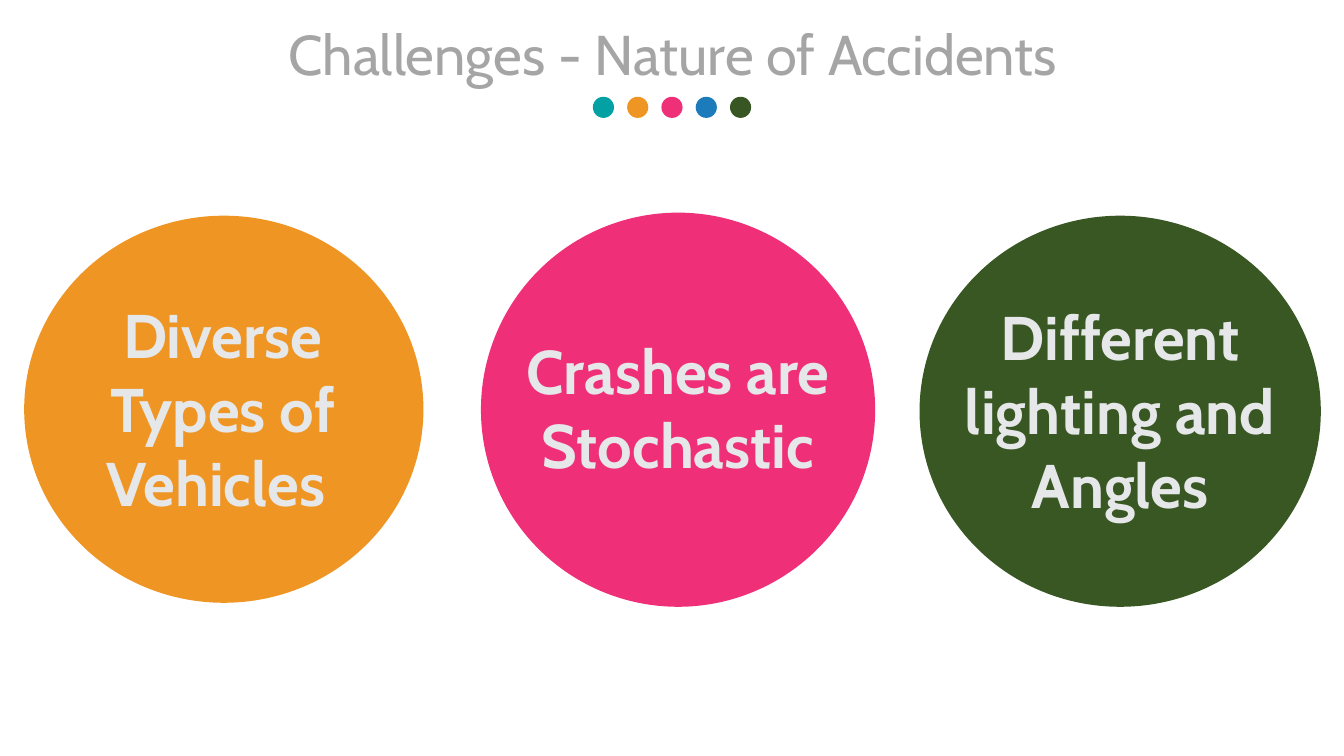
import pptx
import pptx.dml.color
import pptx.enum.shapes
import pptx.enum.text
import pptx.util

Inches = pptx.util.Inches

TEAL, ORANGE, PINK, BLUE, GREEN = "03A1A4", "EE9524", "EF3078", "1C7CBB", "385623"
TITLE_GRAY, LABEL_GRAY = "A5A5A5", "E6E7E9"


def color(hex_string):
    return pptx.dml.color.RGBColor.from_string(hex_string)


class SlideBuilder:
    font_name = "Cabin"

    def __init__(self, slide):
        self.slide = slide

    def circle(self, left, top, width, height, fill):
        shape = self.slide.shapes.add_shape(
            pptx.enum.shapes.MSO_SHAPE.OVAL,
            Inches(left), Inches(top), Inches(width), Inches(height))
        shape.shadow.inherit = False
        shape.fill.solid()
        shape.fill.fore_color.rgb = color(fill)
        shape.line.fill.background()

    def text(self, left, top, width, height, words, size, text_color, bold=False):
        box = self.slide.shapes.add_textbox(
            Inches(left), Inches(top), Inches(width), Inches(height))
        frame = box.text_frame
        frame.word_wrap = True
        frame.auto_size = pptx.enum.text.MSO_AUTO_SIZE.SHAPE_TO_FIT_TEXT
        paragraph = frame.paragraphs[0]
        paragraph.alignment = pptx.enum.text.PP_ALIGN.CENTER
        run = paragraph.add_run()
        run.text = words
        run.font.name = self.font_name
        run.font.size = pptx.util.Pt(size)
        run.font.bold = bold
        run.font.color.rgb = color(text_color)


def main():
    presentation = pptx.Presentation()
    presentation.slide_width = Inches(13.33)
    presentation.slide_height = Inches(7.5)
    builder = SlideBuilder(presentation.slides.add_slide(presentation.slide_layouts[6]))

    builder.text(2.69, 0.14, 7.96, 0.77, "Challenges - Nature of Accidents", 40, TITLE_GRAY)
    for index, fill in enumerate((TEAL, ORANGE, PINK, BLUE, GREEN)):
        builder.circle(5.88 + 0.34 * index, 0.96, 0.21, 0.21, fill)

    challenges = [
        ((0.24, 2.14, 3.96, 3.84), ORANGE,
         (0.41, 2.9, 3.6, 2.32), "Diverse Types of Vehicles "),
        ((4.77, 2.11, 3.91, 3.91), PINK,
         (4.98, 3.25, 3.49, 1.58), "Crashes are Stochastic"),
        ((9.12, 2.14, 3.98, 3.88), "385723",
         (9.21, 2.92, 3.8, 2.32), "Different lighting and Angles"),
    ]
    for circle_box, fill, label_box, words in challenges:
        builder.circle(*circle_box, fill)
        builder.text(*label_box, words, 44, LABEL_GRAY, bold=True)

    presentation.save("out.pptx")


if __name__ == "__main__":
    main()
